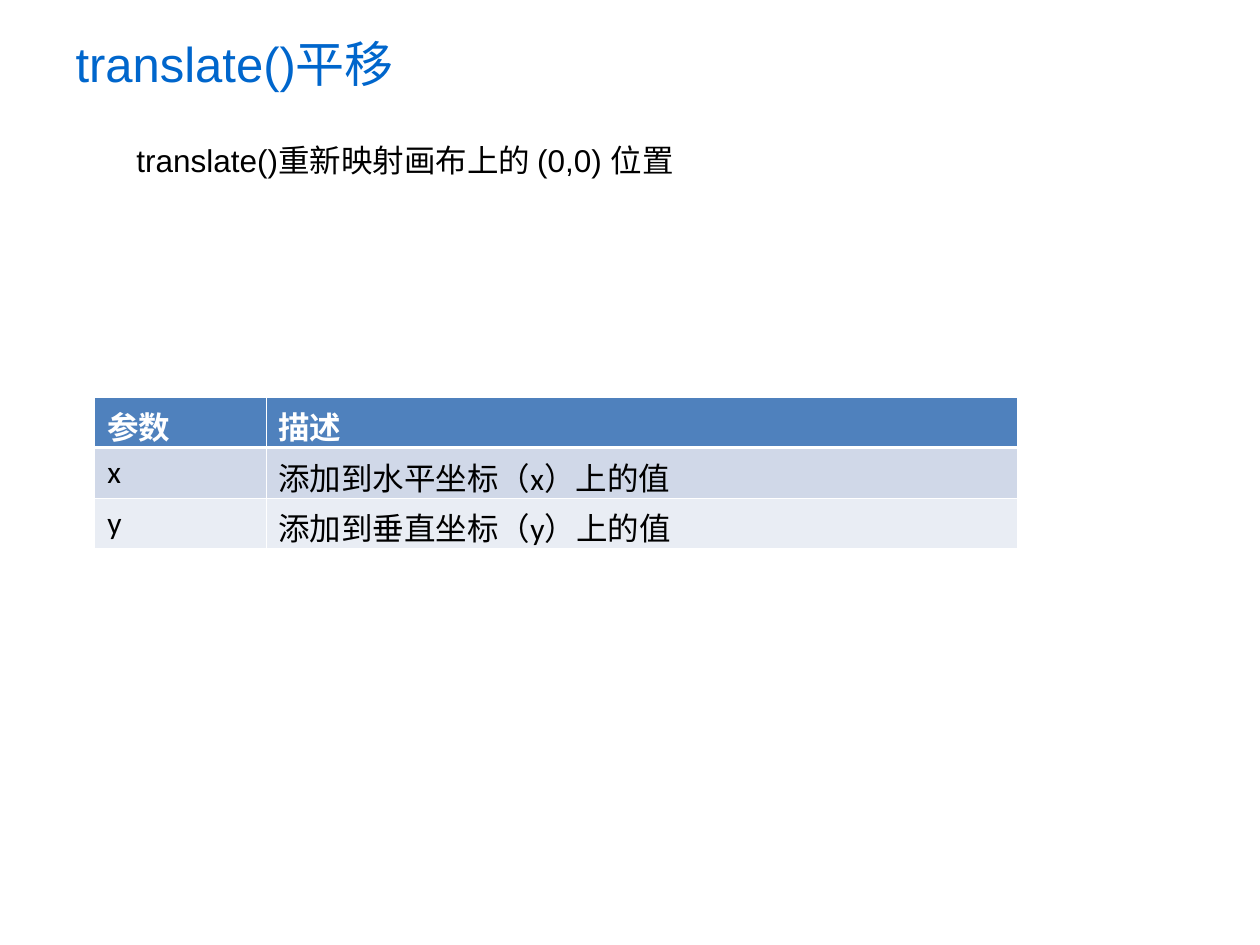
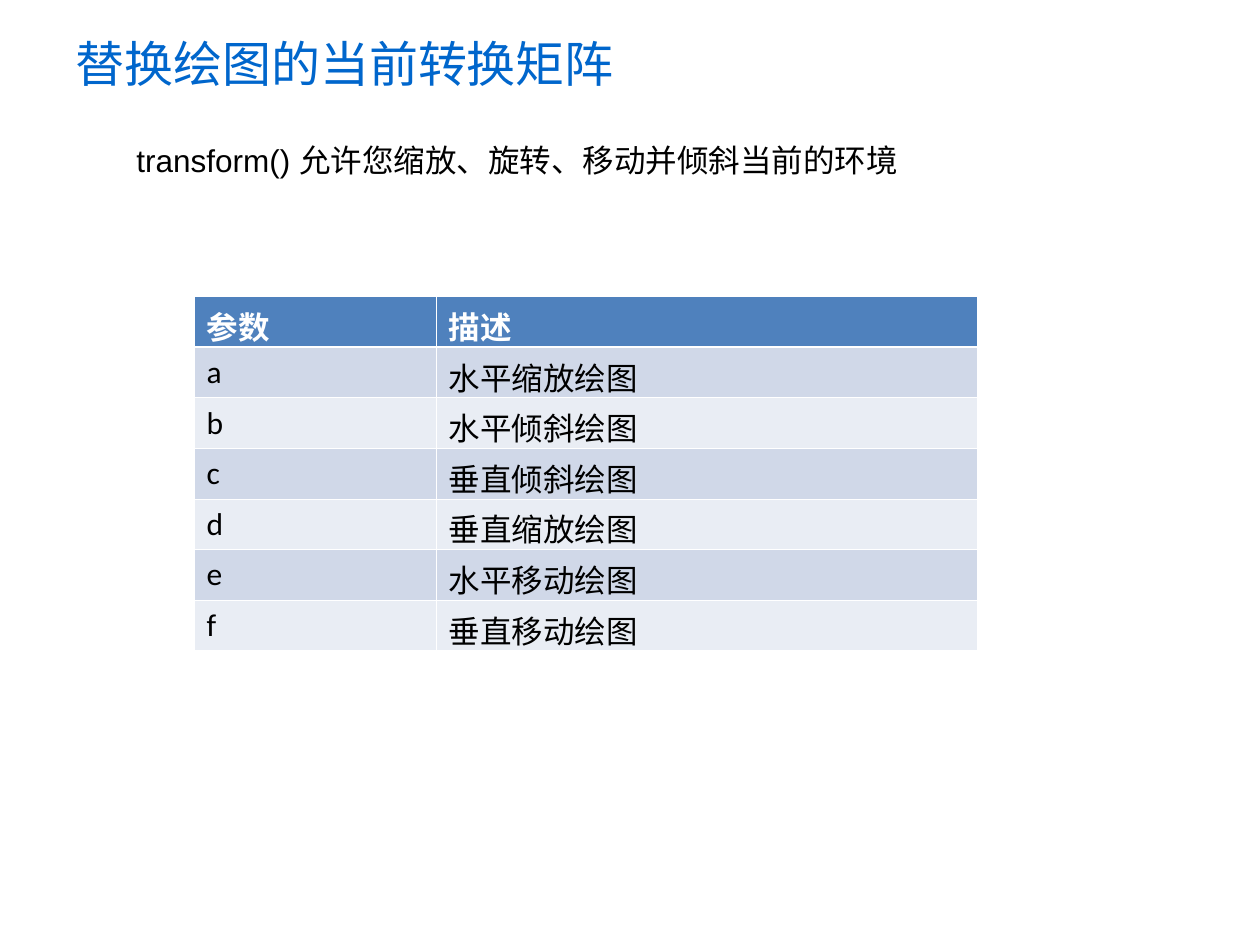
from lxml import etree
from pptx import Presentation
from pptx.dml.color import RGBColor
from pptx.enum.text import MSO_ANCHOR, MSO_AUTO_SIZE, PP_ALIGN
from pptx.oxml.ns import qn
from pptx.util import Cm, Pt

LEFT = PP_ALIGN.LEFT
MIDDLE = MSO_ANCHOR.MIDDLE
NO_FIT = MSO_AUTO_SIZE.NONE
GROW = MSO_AUTO_SIZE.SHAPE_TO_FIT_TEXT
TITLE_ONLY = 5

COLORS = {
    "title": "0066CC",
    "text": "000000",
    "white": "FFFFFF",
    "header": "4F81BD",
    "odd_row": "D0D8E8",
    "even_row": "E9EDF4",
}
TITLE_FONT = {"name": "Arial", "size": Pt(28), "bold": False}
BODY_FONT = {"name": "Arial", "size": Pt(18)}
HEADER_FONT = {"name": "Calibri", "size": Pt(18), "bold": True}
CELL_FONT = {"name": "Calibri", "size": Pt(18), "bold": False}
HEADINGS = ("参数", "描述")
ROW_HEIGHT = 1.02
THIN, THICK = 0.45, 1.47


class Deck:
    """Holds the shared style and the slide being filled."""

    def __init__(self):
        self.prs = Presentation()
        self.prs.slide_width = Cm(25.4)
        self.prs.slide_height = Cm(19.05)
        self.s = None

    def add_text(self, tf, text, font, color):
        p = tf.paragraphs[0]
        p.alignment = LEFT
        r = p.add_run()
        r.text = text
        for name, value in font.items():
            setattr(r.font, name, value)
        r.font.color.rgb = RGBColor.from_string(COLORS[color])

    def slide(self, title):
        self.s = self.prs.slides.add_slide(self.prs.slide_layouts[TITLE_ONLY])
        sp = self.s.shapes.title
        sp.left, sp.top, sp.width, sp.height = Cm(1.27), Cm(0), Cm(19.43), Cm(2.54)
        tf = sp.text_frame
        tf.word_wrap = True
        tf.auto_size = NO_FIT
        tf.vertical_anchor = MIDDLE
        self.add_text(tf, title, TITLE_FONT, "title")

    def summary(self, text, width):
        sp = self.s.shapes.add_textbox(Cm(2.5), Cm(2.71), Cm(width), Cm(1.02))
        tf = sp.text_frame
        tf.word_wrap = True
        tf.auto_size = GROW
        self.add_text(tf, text, BODY_FONT, "text")

    def borders(self, cell, row):
        """Draw white cell edges, with a thicker rule under the header."""
        widths = {
            "L": THIN,
            "R": THIN,
            "T": THICK if row == 1 else THIN,
            "B": THICK if row == 0 else THIN,
        }
        tc_pr = cell._tc.get_or_add_tcPr()
        for side, width in widths.items():
            ln = etree.SubElement(tc_pr, qn(f"a:ln{side}"), w=str(Pt(width)))
            fill = etree.SubElement(ln, qn("a:solidFill"))
            etree.SubElement(fill, qn("a:srgbClr"), val=COLORS["white"])

    def table(self, left, top, col_widths, params):
        rows = [HEADINGS, *params]
        tbl = self.s.shapes.add_table(
            len(rows), len(col_widths), Cm(left), Cm(top),
            Cm(sum(col_widths)), Cm(ROW_HEIGHT * len(rows)),
        ).table
        for col, width in zip(tbl.columns, col_widths):
            col.width = Cm(width)
        for i, values in enumerate(rows):
            tbl.rows[i].height = Cm(ROW_HEIGHT)
            if i == 0:
                fill, font, color = "header", HEADER_FONT, "white"
            else:
                fill = "odd_row" if i % 2 else "even_row"
                font, color = CELL_FONT, "text"
            for j, text in enumerate(values):
                cell = tbl.cell(i, j)
                self.borders(cell, i)
                cell.fill.solid()
                cell.fill.fore_color.rgb = RGBColor.from_string(COLORS[fill])
                self.add_text(cell.text_frame, text, font, color)


def main():
    deck = Deck()

    deck.slide("translate()平移")
    deck.summary("translate()重新映射画布上的 (0,0) 位置", 14.4)
    deck.table(1.91, 8, (3.45, 15.14), [
        ("x", "添加到水平坐标（x）上的值"),
        ("y", "添加到垂直坐标（y）上的值"),
    ])

    deck.slide("替换绘图的当前转换矩阵")
    deck.summary("transform() 允许您缩放、旋转、移动并倾斜当前的环境", 17.6)
    deck.table(3.91, 5.98, (4.88, 10.92), [
        ("a", "水平缩放绘图"),
        ("b", "水平倾斜绘图"),
        ("c", "垂直倾斜绘图"),
        ("d", "垂直缩放绘图"),
        ("e", "水平移动绘图"),
        ("f", "垂直移动绘图"),
    ])

    deck.prs.save("out.pptx")


if __name__ == "__main__":
    main()
